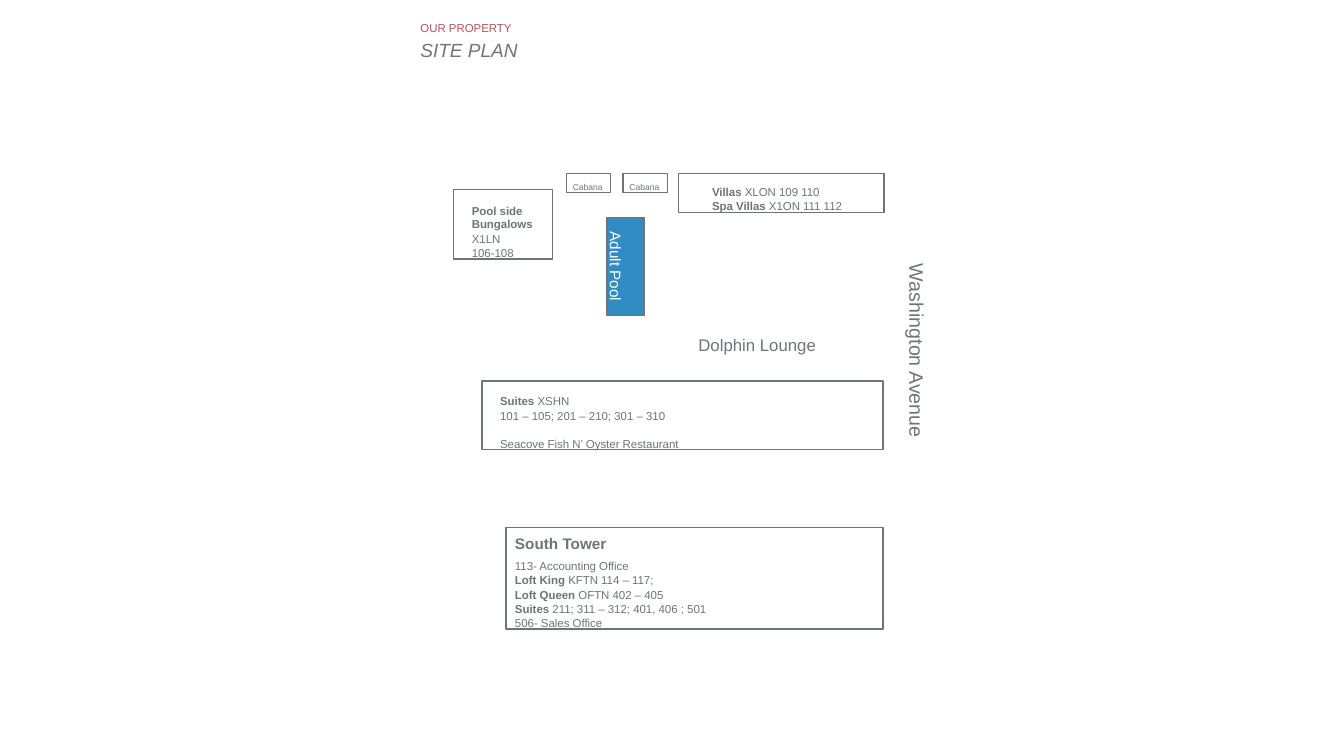
from pptx import Presentation
from pptx.dml.color import RGBColor
from pptx.enum.shapes import MSO_SHAPE
from pptx.enum.text import MSO_ANCHOR, MSO_AUTO_SIZE, PP_ALIGN
from pptx.util import Pt

GRAY = RGBColor(0x6E, 0x74, 0x7B)
TITLE_GRAY = RGBColor(0x71, 0x74, 0x7B)
RED = RGBColor(0xC3, 0x4B, 0x5A)
POOL_BLUE = RGBColor(0x30, 0x8C, 0xC2)
WHITE = RGBColor(0xFF, 0xFF, 0xFF)

SMALL = 8.2
LINE_GAP = 0.5
CABANA_TOP = 123.8


def set_all(target, values):
    for name, value in values.items():
        setattr(target, name, value)


def place(shape, left, top, width, height):
    set_all(shape, {"left": Pt(left), "top": Pt(top),
                    "width": Pt(width), "height": Pt(height)})


def line(*runs, size=SMALL, before=LINE_GAP, color=GRAY, italic=False):
    """Describe a paragraph; a run that starts with * is bold."""
    return {"runs": runs, "size": size, "before": before,
            "color": color, "italic": italic}


def write(shape, lines, left=0, top=0, right=0, align=PP_ALIGN.LEFT):
    """Fill a shape with lines, inset from its edges."""
    frame = shape.text_frame
    set_all(frame, {"margin_left": Pt(left), "margin_top": Pt(top),
                    "margin_right": Pt(right), "margin_bottom": 0,
                    "word_wrap": True, "auto_size": MSO_AUTO_SIZE.NONE,
                    "vertical_anchor": MSO_ANCHOR.TOP})
    for index, content in enumerate(lines):
        paragraph = frame.add_paragraph() if index else frame.paragraphs[0]
        set_all(paragraph, {"alignment": align, "line_spacing": 1.0,
                            "space_before": Pt(content["before"] if index else 0)})
        for text in content["runs"]:
            run = paragraph.add_run()
            run.text = text.removeprefix("*")
            set_all(run.font, {"name": "Arial", "size": Pt(content["size"]),
                               "bold": text.startswith("*"),
                               "italic": content["italic"]})
            run.font.color.rgb = content["color"]


def add_building(slide, box, lines, fill=None, **layout):
    shape = slide.shapes.add_shape(MSO_SHAPE.RECTANGLE, 0, 0, 0, 0)
    place(shape, *box)
    shape.shadow.inherit = False
    if fill is None:
        shape.fill.background()
    else:
        shape.fill.solid()
        shape.fill.fore_color.rgb = fill
    shape.line.color.rgb = GRAY
    shape.line.width = Pt(1)
    write(shape, lines, **layout)
    return shape


def add_label(slide, box, text, size, **layout):
    label = slide.shapes.add_textbox(0, 0, 0, 0)
    place(label, *box)
    write(label, [line(text, size=size)], **layout)
    return label


def add_title(slide):
    title = slide.shapes.title
    place(title, 298.8, 12.2, 90, 31)
    write(title, [line("OUR PROPERTY", color=RED),
                  line("SITE PLAN", size=13.6, before=2.5,
                       color=TITLE_GRAY, italic=True)], left=1.5, top=3)
    title.text_frame.paragraphs[1].runs[0].font.color.rgb = TITLE_GRAY


def add_pool_area(slide):
    pool = add_building(slide, (411.8, 177.1, 69.8, 26.6),
                        [line("Adult Pool", size=10.9, color=WHITE)],
                        fill=POOL_BLUE, top=13.5, align=PP_ALIGN.CENTER)
    pool.rotation = 90
    for left in (404.6, 445):
        add_building(slide, (left, CABANA_TOP, 31.7, 13.7),
                     [line("Cabana", size=6.1)], left=4.6, top=6.5)
    add_building(slide, (484.6, CABANA_TOP, 146.9, 28.1),
                 [line("*Villas", " XLON 109 110"),
                  line("*Spa Villas ", "X1ON 111 112")], left=24, top=8.3)
    add_building(slide, (324, 135.4, 70.6, 49.7),
                 [line("*Pool side Bungalows"), line("X1LN"),
                  line("106-108")], left=13, top=10)


def add_main_buildings(slide):
    add_building(slide, (344.2, 272.2, 286.6, 49),
                 [line("*Suites ", "XSHN"),
                  line("101 – 105; 201 – 210; 301 – 310"),
                  line("Seacove Fish N’ Oyster Restaurant", before=10.5)],
                 left=13, top=9.4)
    add_building(slide, (361.4, 376.6, 269.3, 72.7),
                 [line("*South Tower", size=10.9),
                  line("113- Accounting Office", before=4.5),
                  line("*Loft King ", "KFTN 114 – 117;"),
                  line("*Loft Queen ", "OFTN 402 – 405"),
                  line("*Suites ", "211; 311 – 312; 401, 406 ; 501"),
                  line("506- Sales Office", before=0)], left=6.5, top=4.8)


def add_place_names(slide):
    add_label(slide, (498.2, 238.3, 95.8, 15.1), "Dolphin Lounge", 12,
              left=0.7, top=1)
    avenue = add_label(slide, (647.3, 185, 17.3, 151.9), "Washington Avenue",
                       14, top=3.5, right=1)
    avenue.text_frame._txBody.bodyPr.set("vert", "vert")


def main():
    presentation = Presentation()
    set_all(presentation, {"slide_width": Pt(960), "slide_height": Pt(540)})
    title_only = presentation.slide_layouts[5]
    slide = presentation.slides.add_slide(title_only)
    add_title(slide)
    add_pool_area(slide)
    add_main_buildings(slide)
    add_place_names(slide)
    presentation.save("out.pptx")


if __name__ == "__main__":
    main()
